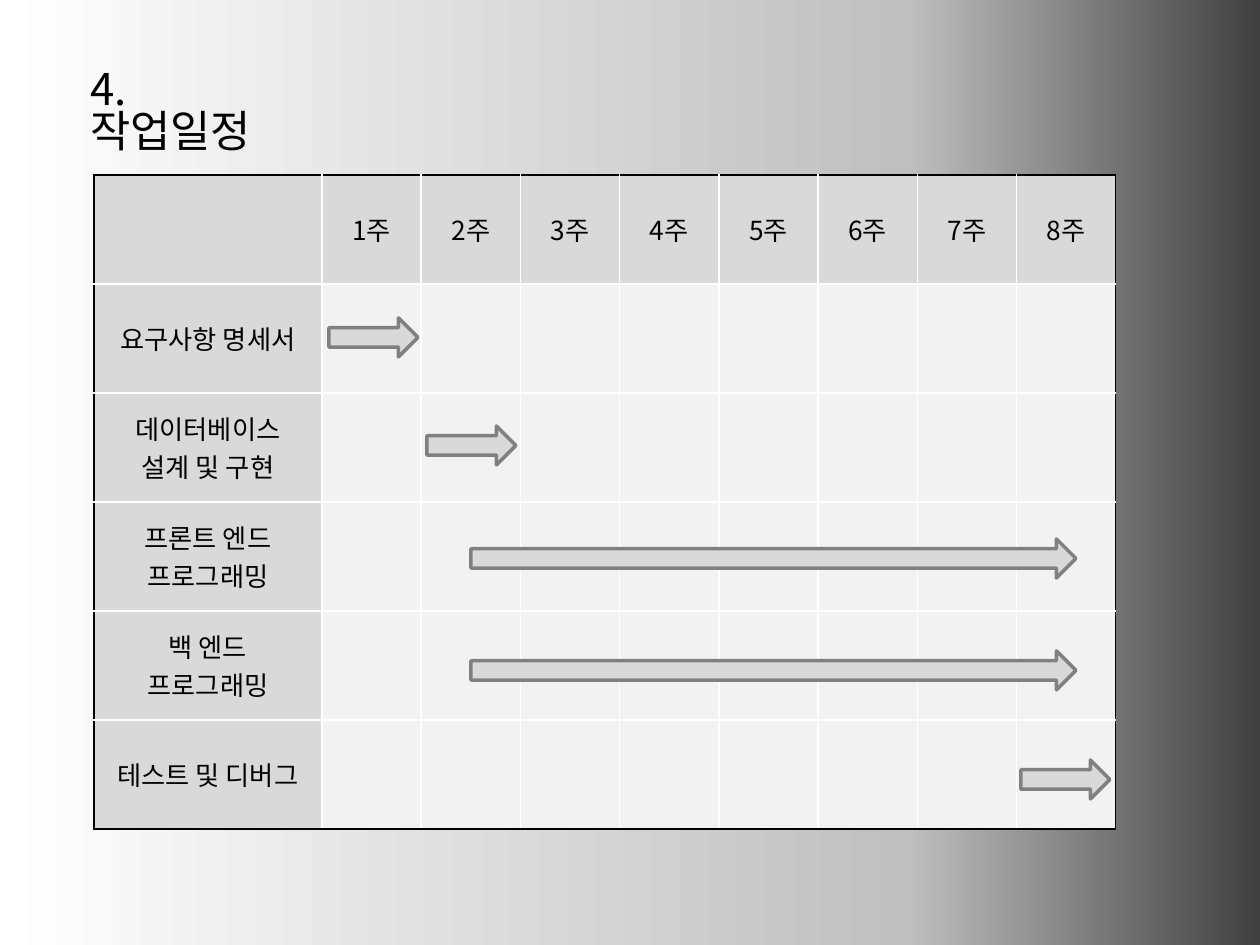
import copy

import pptx
import pptx.dml.color
import pptx.enum.shapes
import pptx.enum.text
import pptx.oxml
import pptx.oxml.ns
import pptx.util

EMU_PER_PX = 914400 / 126
FONT = "Noto Sans CJK KR"
COLORS = {
    "text": "000000",
    "frame": "000000",
    "grid": "FFFFFF",
    "header": "D9D9D9",
    "body": "F2F2F2",
    "arrow": "D9D9D9",
    "arrow_line": "808080",
}
rgb = pptx.dml.color.RGBColor.from_string
qn = pptx.oxml.ns.qn


def px(length):
    return pptx.util.Emu(round(length * EMU_PER_PX))


def format_text(text_frame, size):
    for paragraph in text_frame.paragraphs:
        for run in paragraph.runs:
            run.font.size = pptx.util.Pt(size)
            run.font.name = FONT
            run.font.bold = False
            run.font.color.rgb = rgb(COLORS["text"])
            east_asian = copy.deepcopy(run.font._element.find(qn("a:latin")))
            east_asian.tag = qn("a:ea")
            run.font._element.append(east_asian)


presentation = pptx.Presentation()
presentation.slide_width = px(1260)
presentation.slide_height = px(945)
slide = presentation.slides.add_slide(presentation.slide_layouts[6])

# Background gradient
background = slide.background.fill
background.gradient()
background.gradient_angle = 0
stop_list = next(slide.element.iter(qn("a:gsLst")))
stop_list.append(copy.deepcopy(stop_list[-1]))
gradient = [(0, "FFFFFF"), (0.72, "BFBFBF"), (1, "404040")]
for stop, (position, color) in zip(background.gradient_stops, gradient):
    stop.position = position
    stop.color.rgb = rgb(color)

# Title
title = slide.shapes.add_textbox(px(78), px(59), px(220), px(65)).text_frame
title.word_wrap = True
title.margin_top = px(13)
title.text = "4. 작업일정"
title.paragraphs[0].line_spacing = 0.8
format_text(title, 25)

# Schedule table
weeks = [f"{week}주" for week in range(1, 9)]
tasks = [
    "요구사항 명세서",
    "데이터베이스\n설계 및 구현",
    "프론트 엔드\n프로그래밍",
    "백 엔드\n프로그래밍",
    "테스트 및 디버그",
]
last_row, last_column = len(tasks), len(weeks)
table = slide.shapes.add_table(
    last_row + 1, last_column + 1, px(94), px(175), px(1022), px(654)
).table
table.first_row = False
table.horz_banding = False
for row in table.rows:
    row.height = px(109)
for index, column in enumerate(table.columns):
    column.width = px(228 if index == 0 else 794 / last_column)

for row in range(last_row + 1):
    for column in range(last_column + 1):
        cell = table.cell(row, column)
        is_header = row == 0 or column == 0
        cell.fill.solid()
        cell.fill.fore_color.rgb = rgb(COLORS["header" if is_header else "body"])
        cell.vertical_anchor = pptx.enum.text.MSO_ANCHOR.MIDDLE
        if row == 0 and column > 0:
            cell.text_frame.text = weeks[column - 1]
        elif row > 0 and column == 0:
            cell.text_frame.text = tasks[row - 1]
        for paragraph in cell.text_frame.paragraphs:
            paragraph.alignment = pptx.enum.text.PP_ALIGN.CENTER
        format_text(cell.text_frame, 15)

        # Black outer frame, white inner grid
        outer_edges = {
            "L": column == 0,
            "R": column == last_column,
            "T": row == 0,
            "B": row == last_row,
        }
        properties = cell._tc.get_or_add_tcPr()
        for index, (side, is_outer) in enumerate(outer_edges.items()):
            color = COLORS["frame" if is_outer else "grid"]
            border = pptx.oxml.parse_xml(
                f'<a:ln{side} {pptx.oxml.ns.nsdecls("a")} w="12700">'
                f'<a:solidFill><a:srgbClr val="{color}"/></a:solidFill></a:ln{side}>'
            )
            properties.insert(index, border)

# Task arrows: left, top, width
arrows = [
    (329, 318, 89),
    (427, 426, 89),
    (471, 539, 605),
    (471, 651, 605),
    (1021, 760, 89),
]
for left, top, width in arrows:
    arrow = slide.shapes.add_shape(
        pptx.enum.shapes.MSO_SHAPE.RIGHT_ARROW, px(left), px(top), px(width), px(39)
    )
    arrow.shadow.inherit = False
    arrow.fill.solid()
    arrow.fill.fore_color.rgb = rgb(COLORS["arrow"])
    arrow.line.color.rgb = rgb(COLORS["arrow_line"])
    arrow.line.width = pptx.util.Pt(2)

presentation.save("out.pptx")
